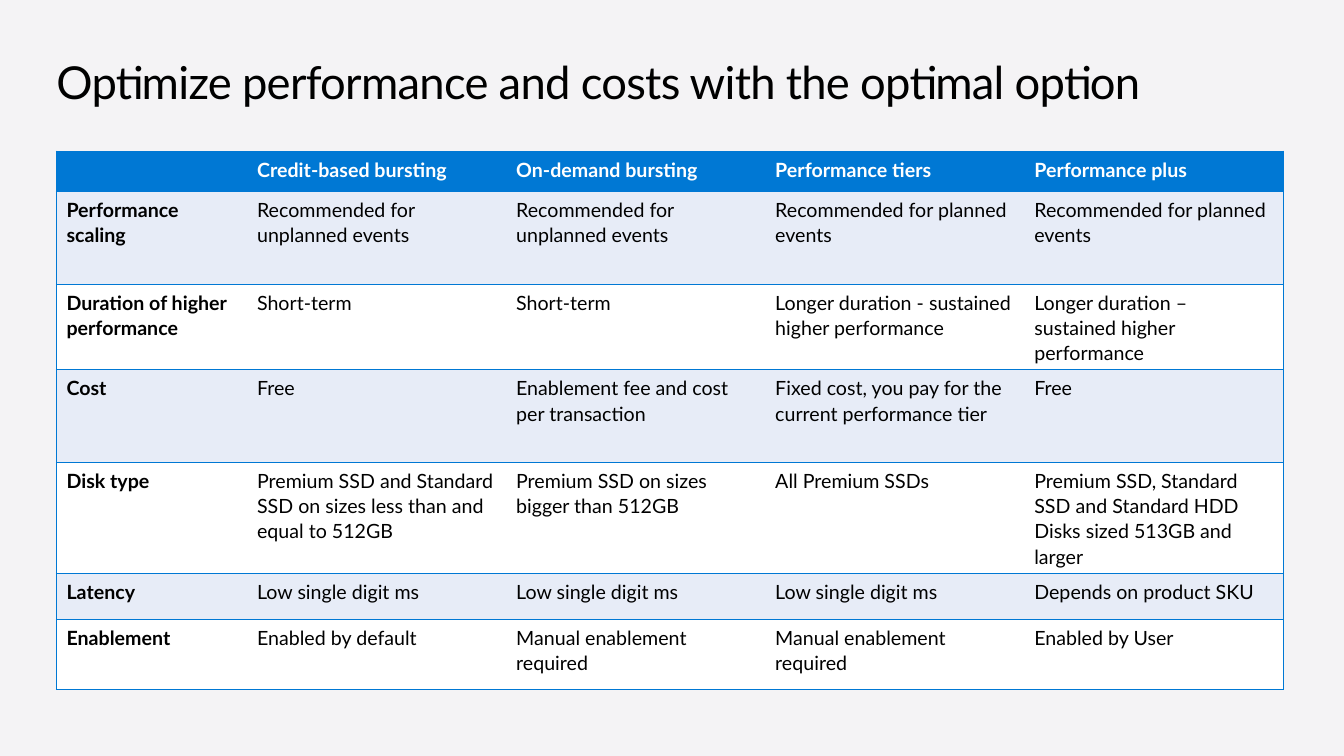
from pptx import Presentation
from pptx.dml.color import RGBColor
from pptx.enum import text
from pptx.oxml import ns
from pptx.util import Inches, Pt
from lxml import etree

COLORS = {"background": "F4F3F5", "accent": "0078D4", "band": "E7ECF7",
          "white": "FFFFFF", "black": "000000"}
FONT = "Lato"

COMPARISON = [
    ["", "Credit-based bursting", "On-demand bursting", "Performance tiers", "Performance plus"],
    ["Performance scaling", "Recommended for unplanned events", "Recommended for unplanned events",
     "Recommended for planned events", "Recommended for planned events"],
    ["Duration of higher performance", "Short-term", "Short-term",
     "Longer duration - sustained higher performance",
     "Longer duration – sustained higher performance"],
    ["Cost", "Free", "Enablement fee and cost per transaction",
     "Fixed cost, you pay for the current performance tier", "Free"],
    ["Disk type", "Premium SSD and Standard SSD on sizes less than and equal to 512GB",
     "Premium SSD on sizes bigger than 512GB", "All Premium SSDs",
     "Premium SSD, Standard SSD and Standard HDD Disks sized 513GB and larger"],
    ["Latency", "Low single digit ms", "Low single digit ms", "Low single digit ms",
     "Depends on product SKU"],
    ["Enablement", "Enabled by default", "Manual enablement required",
     "Manual enablement required", "Enabled by User"],
]
COLUMN_WIDTHS = [1.89] + [2.57] * 4
ROW_HEIGHTS = [0.36, 0.92, 0.69, 0.92, 0.92, 0.46, 0.69]


def add_run(paragraph, words, size, color, bold=False):
    run = paragraph.add_run()
    run.text = words
    run.font.name = FONT
    run.font.size = Pt(size)
    run.font.bold = bold
    run.font.color.rgb = RGBColor.from_string(COLORS[color])
    return run


def add_border(cell, side, visible):
    line = etree.SubElement(cell._tc.get_or_add_tcPr(), ns.qn(f"a:ln{side}"),
                            w=str(Pt(1) if visible else 0))
    if visible:
        fill = etree.SubElement(line, ns.qn("a:solidFill"))
        etree.SubElement(fill, ns.qn("a:srgbClr"), val=COLORS["accent"])
    else:
        etree.SubElement(line, ns.qn("a:noFill"))


# Slide
deck = Presentation()
deck.slide_width, deck.slide_height = Inches(13.33), Inches(7.5)
slide = deck.slides.add_slide(deck.slide_layouts[6])
slide.background.fill.solid()
slide.background.fill.fore_color.rgb = RGBColor.from_string(COLORS["background"])

# Title
title = slide.shapes.add_textbox(Inches(0.56), Inches(0.5), Inches(12.05), Inches(0.61)).text_frame
title.word_wrap = True
title.vertical_anchor = text.MSO_ANCHOR.MIDDLE
title.margin_left = title.margin_right = title.margin_top = title.margin_bottom = 0
title_run = add_run(title.paragraphs[0], "Optimize performance and costs with the optimal option",
                    32.4, "black")
title_run.font._element.set("spc", "-50")

# Comparison table
options = slide.shapes.add_table(len(ROW_HEIGHTS), len(COLUMN_WIDTHS), Inches(0.56), Inches(1.5),
                                 Inches(sum(COLUMN_WIDTHS)), Inches(sum(ROW_HEIGHTS))).table
options.horz_banding = False
for column, width in zip(options.columns, COLUMN_WIDTHS):
    column.width = Inches(width)
for row, height in zip(options.rows, ROW_HEIGHTS):
    row.height = Inches(height)

last_column = len(COLUMN_WIDTHS) - 1
for r, entries in enumerate(COMPARISON):
    band = "accent" if r == 0 else "band" if r % 2 else "white"
    for c, words in enumerate(entries):
        cell = options.cell(r, c)
        # Rules run between rows and around the outside only
        for side, visible in (("L", c == 0), ("R", c == last_column), ("T", True), ("B", True)):
            add_border(cell, side, visible)
        cell.fill.solid()
        cell.fill.fore_color.rgb = RGBColor.from_string(COLORS[band])
        paragraph = cell.text_frame.paragraphs[0]
        paragraph.line_spacing = 1.07
        add_run(paragraph, words, 14, "white" if r == 0 else "black", bold=r == 0 or c == 0)

deck.save("out.pptx")
